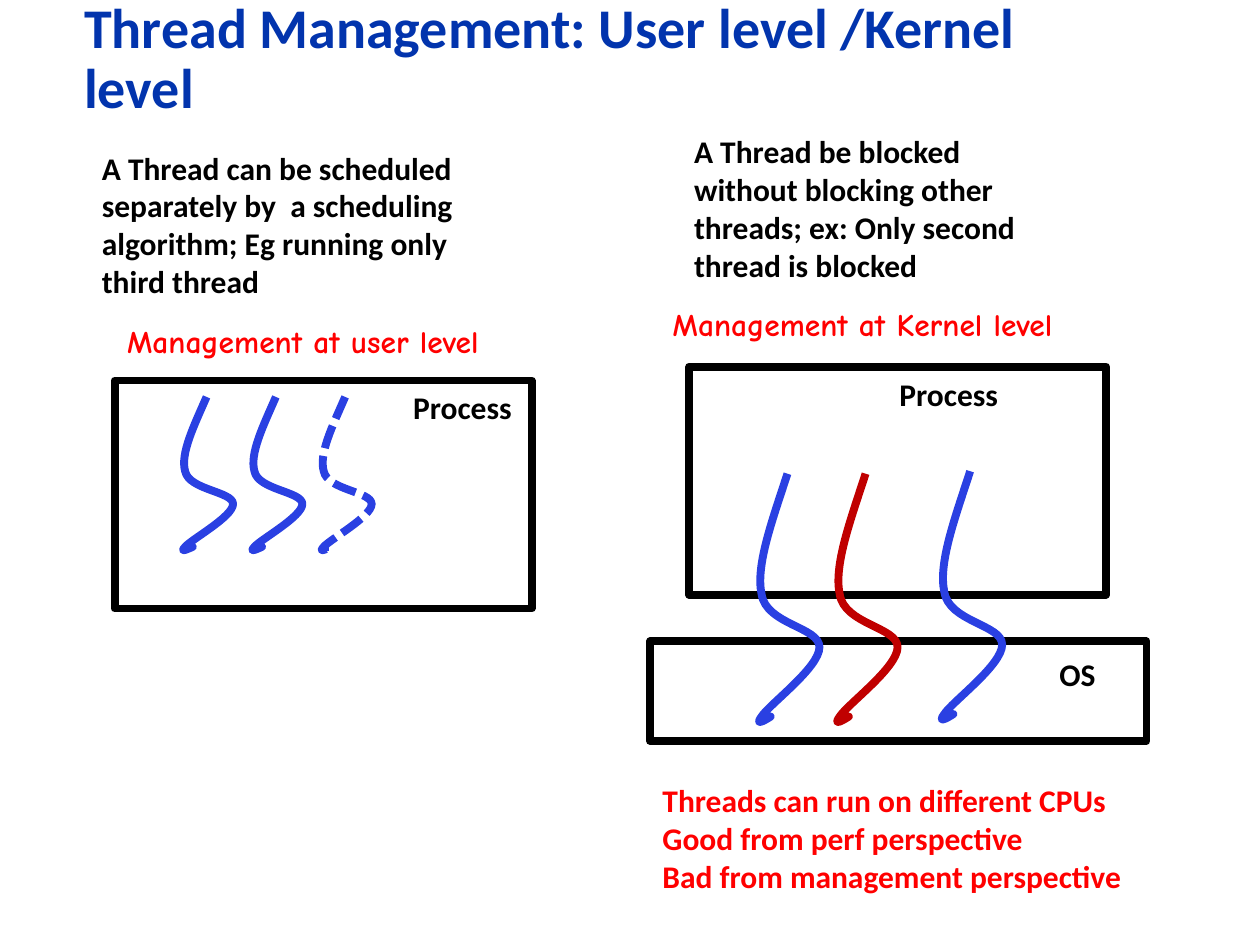
"""Build a slide comparing user level and kernel level thread management."""
from lxml.etree import SubElement
from pptx import Presentation
from pptx.dml.color import RGBColor
from pptx.enum.dml import MSO_LINE
from pptx.enum.shapes import MSO_SHAPE
from pptx.enum.text import MSO_ANCHOR, MSO_AUTO_SIZE
from pptx.oxml.ns import qn
from pptx.util import Inches, Pt

RECT = MSO_SHAPE.RECTANGLE
DASH = MSO_LINE.SQUARE_DOT
MID, TOP = MSO_ANCHOR.MIDDLE, MSO_ANCHOR.TOP
GROW, FIXED = MSO_AUTO_SIZE.SHAPE_TO_FIT_TEXT, MSO_AUTO_SIZE.NONE
BLACK, WHITE, RED = "000000", "FFFFFF", "FF0000"
NAVY, BLUE, DARK = "0234AD", "2A40E2", "C00000"

BOXES = [(0.91, 3.02, 3.31, 1.81), (5.16, 5.09, 3.94, 0.79),
         (5.47, 2.91, 3.31, 1.81)]

INDENT, WIDTH, HEIGHT = 0.19, 0.4, 1.22
CURVE = [("moveTo", [(0, 0)]),
         ("cubicBezTo", [(-0.1, 0.23), (-0.21, 0.45), (-0.17, 0.59)]),
         ("cubicBezTo", [(-0.14, 0.74), (0.21, 0.75), (0.21, 0.85)]),
         ("cubicBezTo", [(0.21, 0.95), (-0.12, 1.13), (-0.17, 1.19)]),
         ("cubicBezTo", [(-0.23, 1.25), (-0.11, 1.19), (-0.11, 1.19)]),
         ("lnTo", [(-0.15, 1.19)])]
SMALL, LARGE = (1, 1), (1.21, 1.62)
THREADS = [(1.64 + 0.55 * i, 3.15, SMALL, BLUE, dash)
           for i, dash in enumerate((None, None, DASH))]
THREADS += [(6.87, 3.76, LARGE, DARK, None), (6.25, 3.76, LARGE, BLUE, None),
            (7.7, 3.74, LARGE, BLUE, None)]

TEXTS = [
    ("Thread Management: User level /Kernel level", (0.57, 0.19, 7.83, 0.58),
     dict(size=32, color=NAVY, anchor=MID, space=0.9, fit=FIXED)),
    ("A Thread can be scheduled separately by  a scheduling algorithm; "
     "Eg running only third thread", (0.71, 1.13, 2.99, 1.31), {}),
    ("Process", (7.04, 2.93, 0.99, 0.4), dict(wrap=False)),
    ("Process", (3.18, 3.03, 0.99, 0.4), dict(wrap=False)),
    ("OS", (8.31, 5.15, 0.49, 0.4), dict(wrap=False)),
    ("A Thread be blocked without blocking other threads; ex: Only second "
     "thread is blocked ", (5.41, 1, 2.99, 1.31), {}),
    ("Threads can run on different CPUs\nGood from perf perspective\n"
     "Bad from management perspective", (5.16, 6.15, 3.87, 1.01),
     dict(color=RED, wrap=False)),
    ("Management at user level", (0.91, 2.51, 3.35, 0.4),
     dict(color=RED, font="Comic Neue", wrap=False)),
    ("Management at Kernel level", (5.24, 2.37, 3.59, 0.4),
     dict(color=RED, font="Comic Neue", wrap=False)),
]


def rgb(code):
    return RGBColor.from_string(code)


def outline(shape, color, dash=None):
    shape.shadow.inherit = False
    shape.line.color.rgb = rgb(color)
    shape.line.width = Pt(4.5)
    if dash:
        shape.line.dash_style = dash


def add_box(place):
    box = slide.shapes.add_shape(RECT, *map(Inches, place))
    box.fill.solid()
    box.fill.fore_color.rgb = rgb(WHITE)
    outline(box, BLACK)


def add_thread(left, top, scale, color, dash):
    wide, high = scale
    left -= INDENT * wide
    end = Inches(left + WIDTH * wide), Inches(top + HEIGHT * high)
    frame = slide.shapes.build_freeform(Inches(left), Inches(top))
    thread = frame.add_line_segments([end], close=False).convert_to_shape()
    track = next(thread.element.iter(qn("a:path")))
    del track[:]
    for step, points in CURVE:
        part = SubElement(track, qn("a:" + step))
        for x, y in points:
            SubElement(part, qn("a:pt"), x=str(Inches((x + INDENT) * wide)),
                       y=str(Inches(y * high)))
    thread.fill.background()
    outline(thread, color, dash)


def add_text(text, place, size=18, color=BLACK, font="Calibri", wrap=True,
             anchor=TOP, space=None, fit=GROW):
    frame = slide.shapes.add_textbox(*map(Inches, place)).text_frame
    frame.word_wrap = wrap
    frame.auto_size = fit
    frame.vertical_anchor = anchor
    frame.text = text
    for para in frame.paragraphs:
        para.line_spacing = space
        for run in para.runs:
            run.font.size, run.font.name, run.font.bold = Pt(size), font, True
            run.font.color.rgb = rgb(color)


deck = Presentation()
deck.slide_width, deck.slide_height = Inches(10), Inches(7.5)
slide = deck.slides.add_slide(deck.slide_layouts[6])
for place in BOXES:
    add_box(place)
for thread in THREADS:
    add_thread(*thread)
for text, place, style in TEXTS:
    add_text(text, place, **style)
deck.save("out.pptx")
